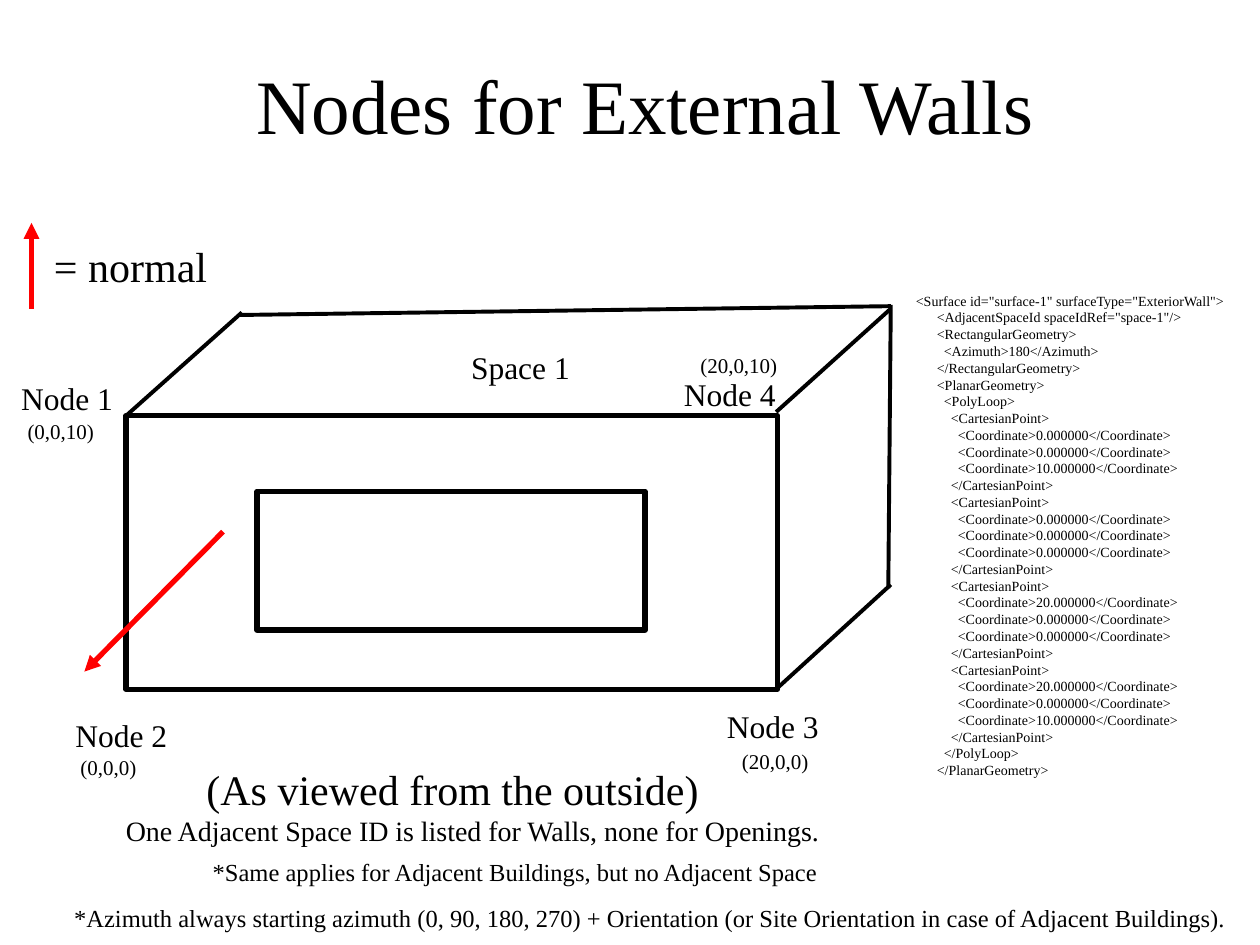
"""Build the slide that explains the node order of an external wall."""
from dataclasses import dataclass

from lxml.etree import SubElement
from pptx import Presentation
from pptx.dml.color import RGBColor
from pptx.enum.shapes import MSO_CONNECTOR, MSO_SHAPE
from pptx.enum.text import PP_ALIGN
from pptx.oxml.ns import qn
from pptx.util import Inches, Pt


@dataclass(frozen=True)
class Theme:
    """Colours, font and type sizes in points."""
    font: str = "Times New Roman"
    ink: RGBColor = RGBColor(0, 0, 0)
    normal: RGBColor = RGBColor(255, 0, 0)
    title: int = 44
    heading: int = 24
    node: int = 18
    remark: int = 16
    note: int = 14
    coordinate: int = 12
    code: int = 8
    outline: float = 3
    edge: float = 2.25


THEME = Theme()

LABELS = [
    ("Node 2", 0.5, 5.63, 2.08, 0.4, THEME.node),
    ("Node 3", 5.67, 5.56, 2.08, 0.4, THEME.node),
    ("Node 4", 5.33, 2.93, 2.08, 0.4, THEME.node),
    ("Node 1", 0.07, 2.96, 1.25, 0.4, THEME.node),
    ("Space 1", 3.64, 2.71, 1.25, 0.4, THEME.node),
    ("(As viewed from the outside)", 1.54, 6.01, 5.96, 0.5, THEME.heading),
    ("One Adjacent Space ID is listed for Walls, none for Openings.",
     0.9, 6.41, 6.21, 0.37, THEME.remark),
    ("= normal", 0.33, 1.86, 1.58, 0.5, THEME.heading),
    ("(0,0,10)", 0.12, 3.27, 1.25, 0.3, THEME.coordinate),
    ("(20,0,10)", 5.46, 2.75, 1.25, 0.3, THEME.coordinate),
    ("(20,0,0)", 5.79, 5.89, 1.25, 0.3, THEME.coordinate),
    ("(0,0,0)", 0.54, 5.94, 1.25, 0.3, THEME.coordinate),
    ("*Azimuth always starting azimuth (0, 90, 180, 270) + Orientation "
     "(or Site Orientation in case of Adjacent Buildings).",
     0.49, 7.12, 9.93, 0.34, THEME.note),
    ("*Same applies for Adjacent Buildings, but no Adjacent Space",
     1.59, 6.75, 5.33, 0.34, THEME.note),
]

RECTANGLES = [(1, 3.3, 5.17, 2.17), (2.04, 3.9, 3.08, 1.1)]

BOX_EDGES = [
    ((1, 3.3), (1.92, 2.48)),
    ((6.16, 3.27), (7.07, 2.45)),
    ((6.16, 5.47), (7.07, 4.64)),
    ((1.89, 2.5), (7.07, 2.43)),
    ((7.05, 4.67), (7.07, 2.42)),
]

NORMALS = [((0.25, 2.45), (0.25, 1.77)), ((1.77, 4.22), (0.67, 5.33))]

CORNERS = [(0, 0, 10), (0, 0, 0), (20, 0, 0), (20, 0, 10)]


def surface_lines():
    """Return the surface listing as pairs of indent in points and text."""
    lines = [
        (0, '<Surface id="surface-1" surfaceType="ExteriorWall">'),
        (12, '<AdjacentSpaceId spaceIdRef="space-1"/>'),
        (12, "<RectangularGeometry>"),
        (16, "<Azimuth>180</Azimuth>"),
        (12, "</RectangularGeometry>"),
        (12, "<PlanarGeometry>"),
        (16, "<PolyLoop>"),
    ]
    for corner in CORNERS:
        lines.append((20, "<CartesianPoint>"))
        lines += [(24, f"<Coordinate>{value:.6f}</Coordinate>") for value in corner]
        lines.append((20, "</CartesianPoint>"))
    return lines + [(16, "</PolyLoop>"), (12, "</PlanarGeometry>")]


def add_text_frame(slide, left, top, width, height):
    """Add an empty wrapping text box and return its frame."""
    box = slide.shapes.add_textbox(Inches(left), Inches(top), Inches(width), Inches(height))
    box.text_frame.word_wrap = True
    return box.text_frame


def add_run(paragraph, text, size):
    """Add one run in the theme font and ink."""
    run = paragraph.add_run()
    run.text = text
    run.font.name = THEME.font
    run.font.size = Pt(size)
    run.font.color.rgb = THEME.ink


def add_title(slide, text):
    """Add the centred title."""
    frame = add_text_frame(slide, -0.63, 0.46, 11.5, 1.25)
    frame.margin_top = frame.margin_bottom = 0
    paragraph = frame.paragraphs[0]
    paragraph.alignment = PP_ALIGN.CENTER
    add_run(paragraph, text, THEME.title)


def add_label(slide, text, left, top, width, height, size):
    """Add a label of one line."""
    frame = add_text_frame(slide, left, top, width, height)
    add_run(frame.paragraphs[0], text, size)


def add_listing(slide, lines):
    """Add the listing with one indented paragraph per line."""
    frame = add_text_frame(slide, 7.17, 2.27, 3.32, 3.96)
    for index, (indent, text) in enumerate(lines):
        paragraph = frame.add_paragraph() if index else frame.paragraphs[0]
        properties = paragraph._p.get_or_add_pPr()
        properties.set("marL", str(Pt(indent)))
        properties.set("indent", "0")
        add_run(paragraph, text, THEME.code)


def add_rectangle(slide, left, top, width, height):
    """Add an unfilled rectangle with a heavy outline."""
    shape = slide.shapes.add_shape(
        MSO_SHAPE.RECTANGLE, Inches(left), Inches(top), Inches(width), Inches(height))
    shape.shadow.inherit = False
    shape.fill.background()
    shape.line.color.rgb = THEME.ink
    shape.line.width = Pt(THEME.outline)


def add_line(slide, start, end, color, width, arrow=False):
    """Add a straight line, with an arrowhead at its end if asked."""
    points = [Inches(value) for value in (*start, *end)]
    connector = slide.shapes.add_connector(MSO_CONNECTOR.STRAIGHT, *points)
    connector.line.color.rgb = color
    connector.line.width = Pt(width)
    if arrow:
        SubElement(connector.line._get_or_add_ln(), qn("a:tailEnd"), type="triangle")
    SubElement(connector._element.spPr, qn("a:effectLst"))


def main():
    """Build and save the slide."""
    presentation = Presentation()
    presentation.slide_width = Inches(10)
    presentation.slide_height = Inches(7.5)
    slide = presentation.slides.add_slide(presentation.slide_layouts[6])
    add_title(slide, "Nodes for External Walls")
    for rectangle in RECTANGLES:
        add_rectangle(slide, *rectangle)
    for start, end in NORMALS:
        add_line(slide, start, end, THEME.normal, THEME.outline, arrow=True)
    for start, end in BOX_EDGES:
        add_line(slide, start, end, THEME.ink, THEME.edge)
    for label in LABELS:
        add_label(slide, *label)
    add_listing(slide, surface_lines())
    presentation.save("out.pptx")


if __name__ == "__main__":
    main()
